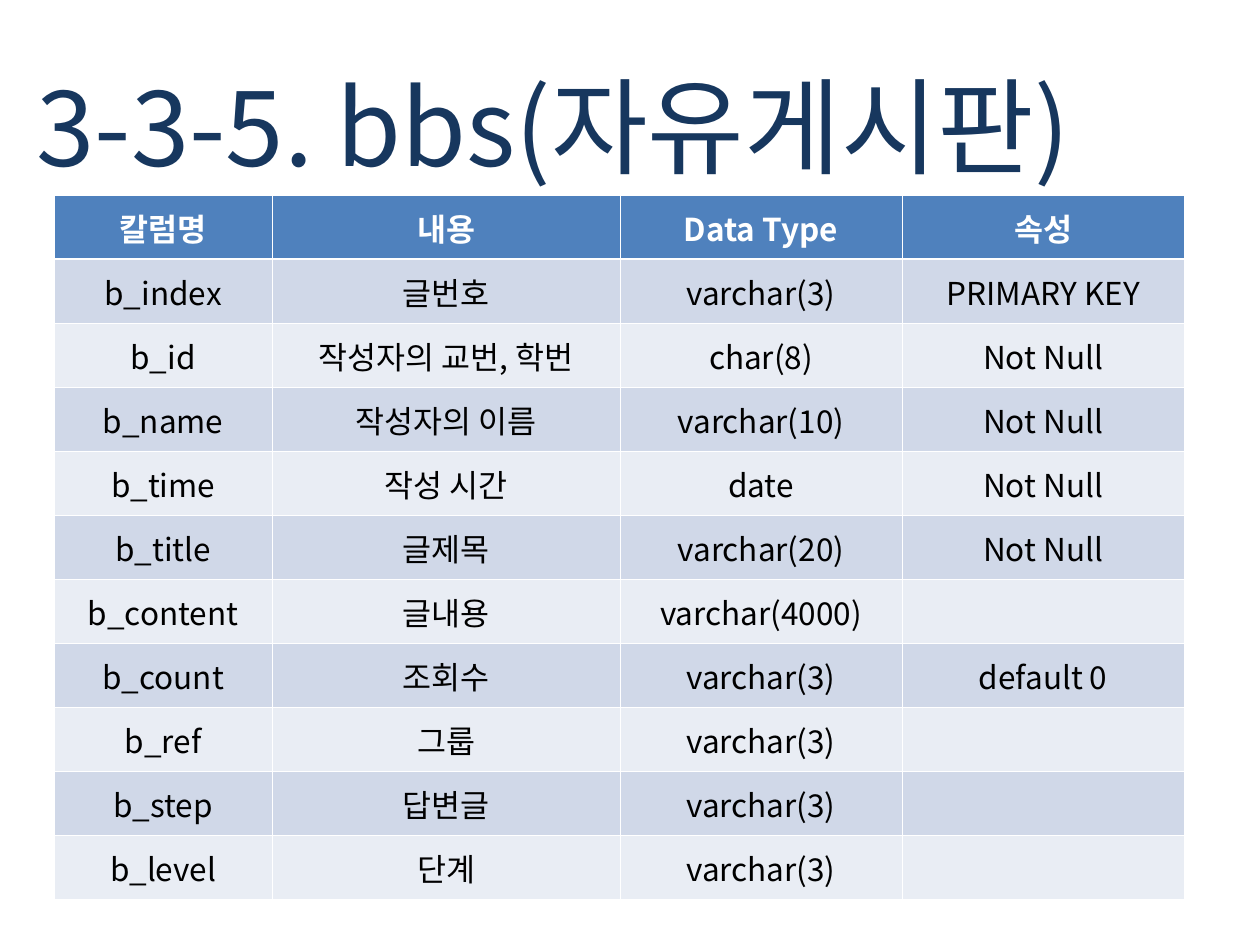
from pptx import Presentation
from pptx.dml.color import RGBColor
from pptx.enum.text import MSO_ANCHOR, PP_ALIGN
from pptx.oxml.ns import qn
from pptx.util import Inches, Pt
from lxml.etree import SubElement

FONT = "Noto Sans CJK KR"
WHITE = "FFFFFF"
HEADER = "4F81BD"
BANDS = ["D0D8E8", "E9EDF4"]


def rgb(value):
    return RGBColor.from_string(value)


def add_run(p, text, size, color, bold=False):
    r = p.add_run()
    r.text = text
    r.font.size, r.font.bold, r.font.name = Pt(size), bold, FONT
    r.font.color.rgb = rgb(color)
    SubElement(r.font._element, qn("a:ea"), typeface=FONT)


prs = Presentation()
prs.slide_width, prs.slide_height = Inches(10), Inches(7.5)
s = prs.slides.add_slide(prs.slide_layouts[6])

# Title
sp = s.shapes.add_textbox(0, Inches(0.44), prs.slide_width, Inches(1.1))
tf = sp.text_frame
tf.word_wrap = True
tf.margin_left = Inches(0.29)
add_run(tf.paragraphs[0], "3-3-5. bbs(자유게시판)", 60, "17375E")

# Table contents
rows = [
    ("칼럼명", "내용", "Data Type", "속성"),
    ("b_index", "글번호", "varchar(3)", "PRIMARY KEY"),
    ("b_id", "작성자의 교번, 학번", "char(8)", "Not Null"),
    ("b_name", "작성자의 이름", "varchar(10)", "Not Null"),
    ("b_time", "작성 시간", "date", "Not Null"),
    ("b_title", "글제목", "varchar(20)", "Not Null"),
    ("b_content", "글내용", "varchar(4000)", ""),
    ("b_count", "조회수", "varchar(3)", "default 0"),
    ("b_ref", "그룹", "varchar(3)", ""),
    ("b_step", "답변글", "varchar(3)", ""),
    ("b_level", "단계", "varchar(3)", ""),
]
widths = [1.73, 2.76, 2.24, 2.24]
height = Inches(5.59)

# Table grid
table = s.shapes.add_table(len(rows), len(widths), Inches(0.43), Inches(1.55),
                           Inches(sum(widths)), height).table
for col, width in zip(table.columns, widths):
    col.width = Inches(width)
for row in table.rows:
    row.height = height // len(rows)

# Cells: white borders, a thicker line under the header, banded fills
for i, texts in enumerate(rows):
    for j, text in enumerate(texts):
        cell = table.cell(i, j)
        cell.vertical_anchor = MSO_ANCHOR.MIDDLE
        tcPr = cell._tc.get_or_add_tcPr()
        for side in "LRTB":
            thick = (i, side) in [(0, "B"), (1, "T")]
            ln = SubElement(tcPr, qn(f"a:ln{side}"), w=str(Pt(1.47 if thick else 0.45)))
            SubElement(SubElement(ln, qn("a:solidFill")), qn("a:srgbClr"), val=WHITE)
        cell.fill.solid()
        cell.fill.fore_color.rgb = rgb(BANDS[(i - 1) % 2] if i else HEADER)
        p = cell.text_frame.paragraphs[0]
        p.alignment = PP_ALIGN.CENTER
        if text:
            add_run(p, text, 18, "000000" if i else WHITE, bold=i == 0)

prs.save("out.pptx")
